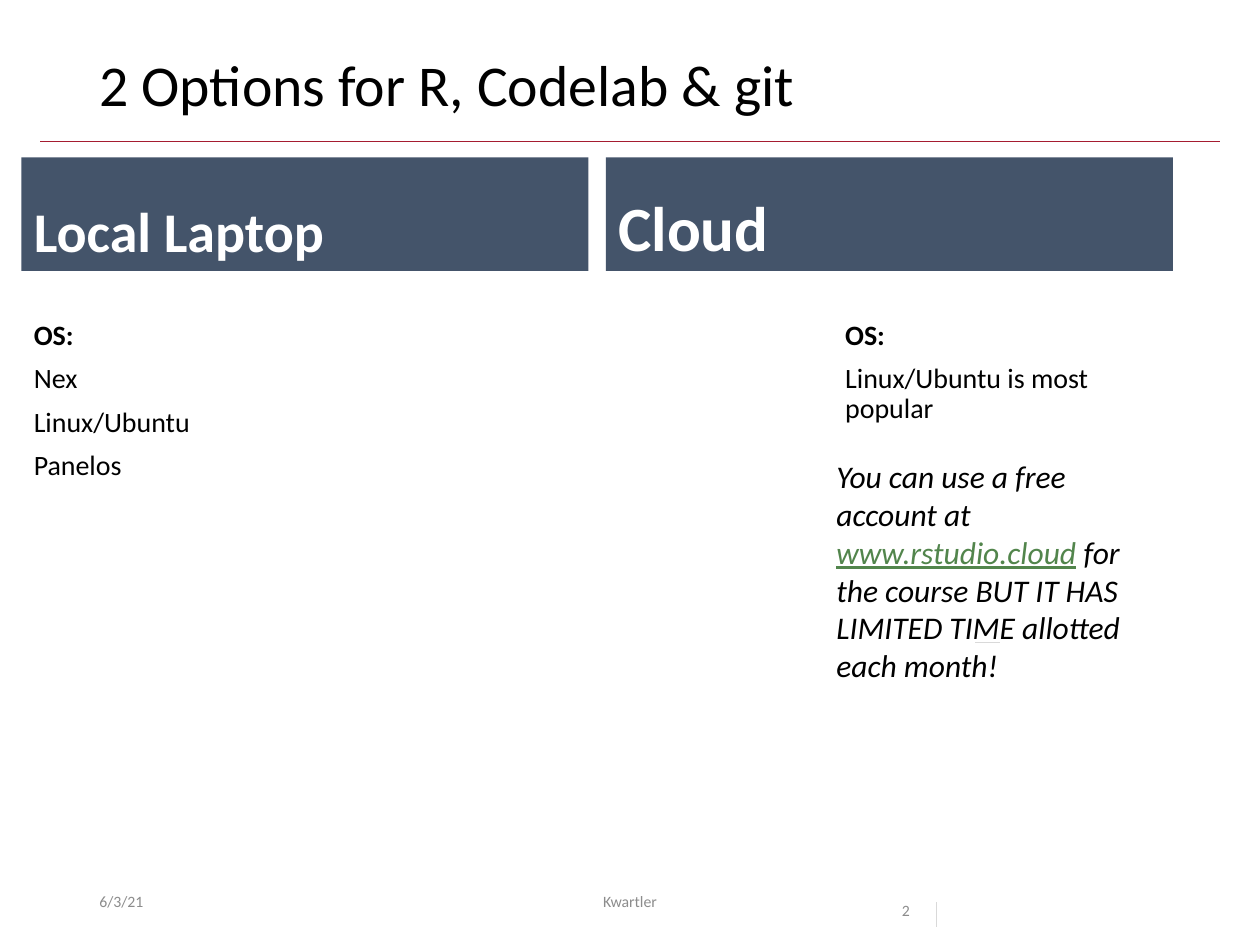
from lxml import etree
from pptx import Presentation
from pptx.dml.color import RGBColor
from pptx.enum import shapes, text
from pptx.oxml.ns import qn
from pptx.util import Inches, Pt

FONT = "Calibri"
BLACK = RGBColor(0x00, 0x00, 0x00)
WHITE = RGBColor(0xFF, 0xFF, 0xFF)
SLATE = RGBColor(0x44, 0x54, 0x6A)
CRIMSON = RGBColor(0xA5, 0x1C, 0x30)
GREEN = RGBColor(0x52, 0x85, 0x4C)
GREY = RGBColor(0x8C, 0x8C, 0x8C)
LIGHT_GREY = RGBColor(0xD9, 0xD9, 0xD9)

COLUMN_WIDTH = 4.5
HEADING_HEIGHT = 0.9
LIST_WIDTH = 2.7
LIST_OFFSET = 1.25


def write_text(shape, paragraphs, size, color=BLACK, align=text.PP_ALIGN.LEFT,
               anchor=text.MSO_ANCHOR.TOP, line_spacing=None, space_before=0):
    """Each paragraph is a list of (wording, font overrides) runs."""
    frame = shape.text_frame
    frame.word_wrap = True
    frame.vertical_anchor = anchor
    for index, runs in enumerate(paragraphs):
        paragraph = frame.add_paragraph() if index else frame.paragraphs[0]
        paragraph.alignment = align
        if line_spacing:
            paragraph.line_spacing = line_spacing
        paragraph.space_before = Pt(space_before if index else 0)
        for wording, overrides in runs:
            run = paragraph.add_run()
            run.text = wording
            font = run.font
            font.name = FONT
            font.size = Pt(size)
            font.color.rgb = overrides.get("color", color)
            font.bold = overrides.get("bold", False)
            font.italic = overrides.get("italic", False)
            font.underline = overrides.get("underline", False)


def add_text(slide, left, top, width, height, paragraphs, size, **style):
    box = slide.shapes.add_textbox(Inches(left), Inches(top), Inches(width), Inches(height))
    write_text(box, paragraphs, size, **style)
    return box


def add_line(slide, x1, y1, x2, y2, color):
    line = slide.shapes.add_connector(shapes.MSO_CONNECTOR.STRAIGHT,
                                      Inches(x1), Inches(y1), Inches(x2), Inches(y2))
    line.line.color.rgb = color
    line.line.width = Pt(0.5)
    etree.SubElement(line._element.spPr, qn("a:effectLst"))


def add_title(slide, left, top, width, height):
    add_line(slide, 0.32, 1.12, 9.68, 1.12, CRIMSON)
    add_text(slide, left, top, width, height,
             [[("2 Options for R, Codelab & git", {})]], 33, line_spacing=0.9)


def add_option(slide, left, top, heading, heading_size, systems, list_left, list_height):
    """Heading bar with a list of operating systems below it."""
    bar = slide.shapes.add_shape(shapes.MSO_SHAPE.RECTANGLE, Inches(left), Inches(top),
                                 Inches(COLUMN_WIDTH), Inches(HEADING_HEIGHT))
    bar.shadow.inherit = False
    bar.fill.solid()
    bar.fill.fore_color.rgb = SLATE
    bar.line.fill.background()
    write_text(bar, [[(heading, {"bold": True})]], heading_size, color=WHITE,
               anchor=text.MSO_ANCHOR.BOTTOM, line_spacing=0.9)
    paragraphs = [[("OS:", {"bold": True})]] + [[(system, {})] for system in systems]
    add_text(slide, left + list_left, top + LIST_OFFSET, LIST_WIDTH, list_height,
             paragraphs, 16, line_spacing=0.9, space_before=7.5)


def add_cloud_note(slide, left, top, width, height):
    italic = {"italic": True}
    link = {"italic": True, "underline": True, "color": GREEN}
    add_text(slide, left, top, width, height, [[
        ("You can use a free account at ", italic),
        ("www.rstudio.cloud", link),
        (" for the course BUT IT HAS LIMITED TIME allotted each month!", italic),
    ]], 18)


def add_footer(slide, top, height):
    middle = text.MSO_ANCHOR.MIDDLE
    add_text(slide, 0.69, top, 2.25, height, [[("6/3/21", {})]], 9, color=GREY, anchor=middle)
    add_text(slide, 3.31, top, 3.38, height, [[("Kwartler", {})]], 9, color=GREY,
             anchor=middle, align=text.PP_ALIGN.CENTER)
    add_text(slide, 7.06, top, 0.94, height, [[("2", {})]], 9, color=GREY, line_spacing=2.0)
    add_line(slide, 7.43, top + 0.21, 7.43, top + 0.41, LIGHT_GREY)


def main():
    presentation = Presentation()
    presentation.slide_width = Inches(10)
    presentation.slide_height = Inches(7.5)
    slide = presentation.slides.add_slide(presentation.slide_layouts[6])

    add_title(slide, 0.69, 0.4, 8.62, 0.65)
    add_option(slide, 0.17, 1.25, "Local Laptop", 32,
               ["Nex", "Linux/Ubuntu", "Panelos"], list_left=0, list_height=1.72)
    add_option(slide, 4.81, 1.25, "Cloud", 36,
               ["Linux/Ubuntu is most popular"],
               list_left=COLUMN_WIDTH - LIST_WIDTH, list_height=0.91)
    add_footer(slide, 6.95, 0.4)
    add_cloud_note(slide, 6.54, 3.58, 2.74, 1.92)
    add_line(slide, 7.74, 5.1, 7.94, 5.1, LIGHT_GREY)

    presentation.save("out.pptx")


if __name__ == "__main__":
    main()
